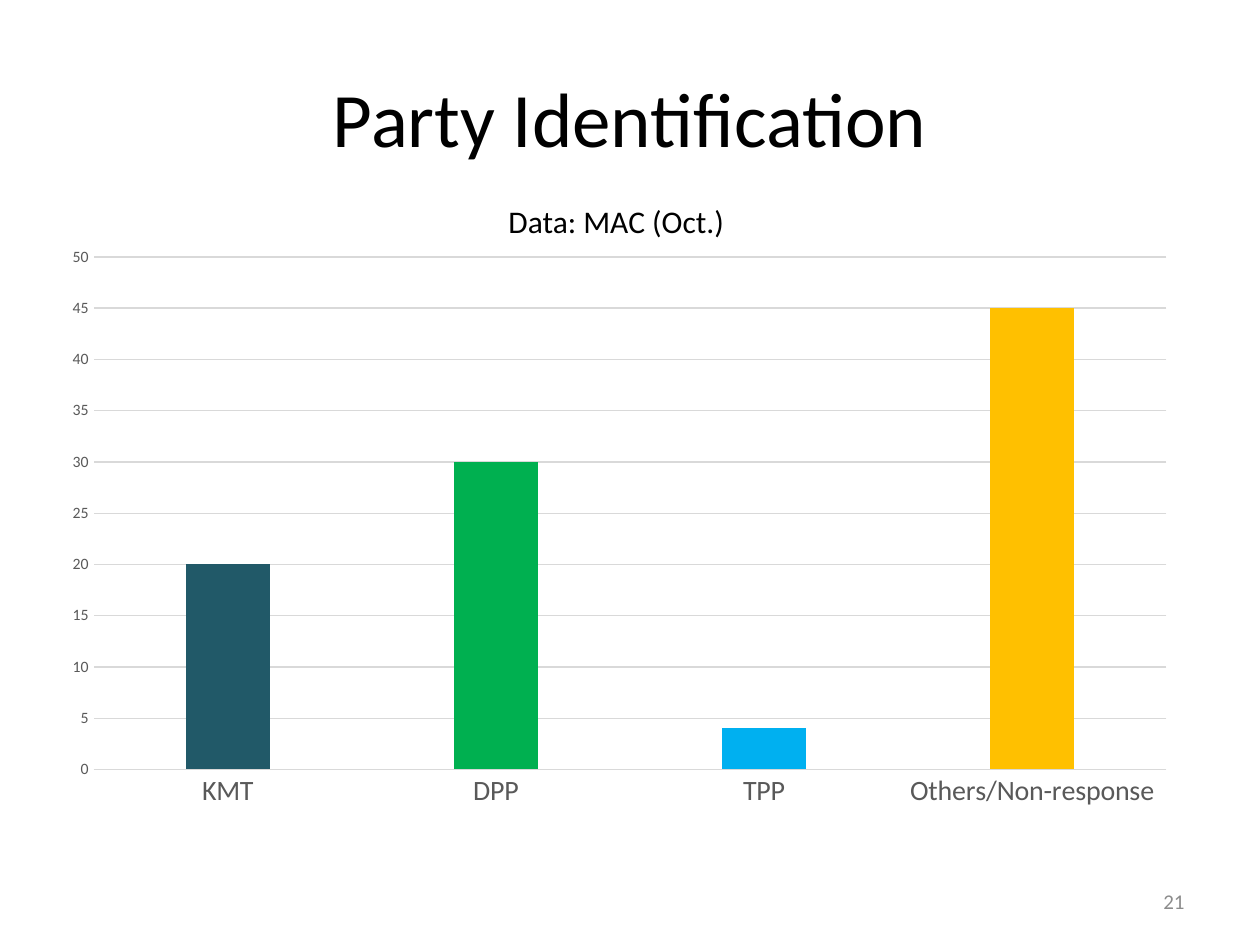
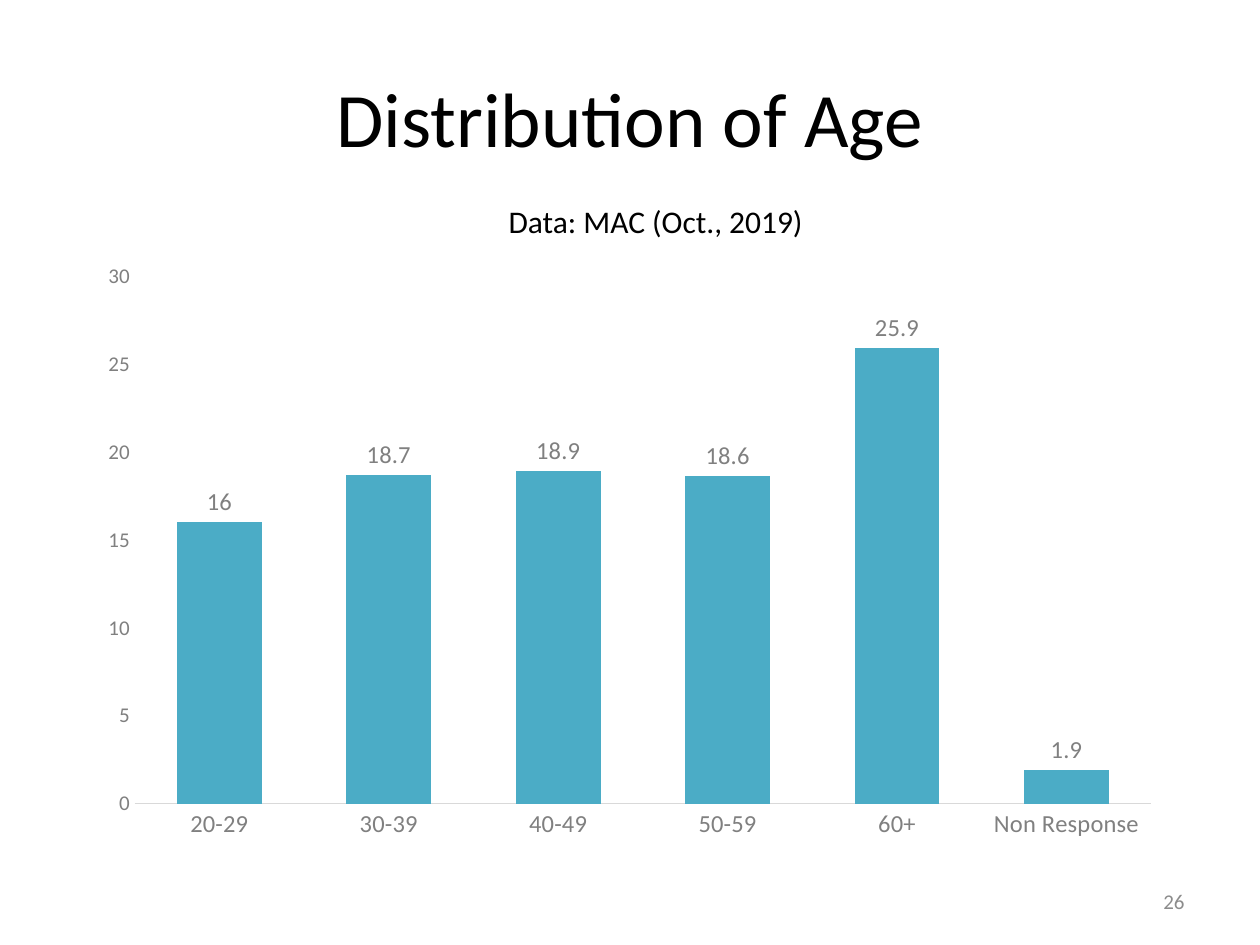
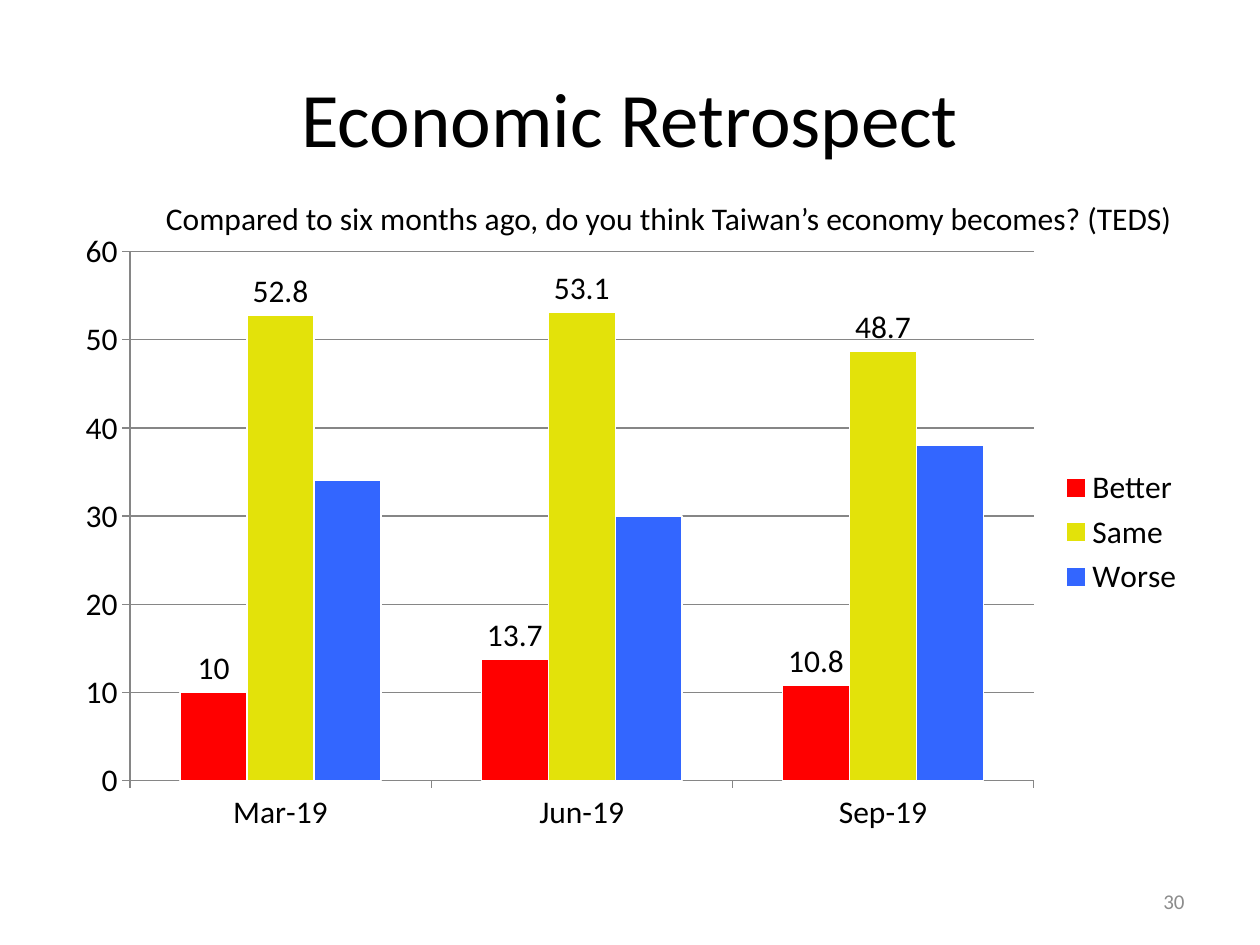
"""Build three survey slides, each with a title, a column chart, a source line and a page number."""
from dataclasses import dataclass
from typing import Optional

import pptx
import pptx.chart.axis
import pptx.chart.chart
import pptx.chart.data
import pptx.dml.color
import pptx.enum.chart
import pptx.enum.text
import pptx.oxml
import pptx.oxml.ns
import pptx.presentation
import pptx.slide
import pptx.text.text
import pptx.util
from pptx.util import Pt


@dataclass(frozen=True)
class Theme:
    font: str = "Calibri"
    ink: str = "000000"
    paper: str = "FFFFFF"
    page_grey: str = "8C8C8C"
    dark_grey: str = "595959"
    mid_grey: str = "808080"
    pale_grey: str = "D9D9D9"
    rule_grey: str = "868686"
    teal: str = "215968"
    green: str = "00B050"
    sky: str = "00B0F0"
    amber: str = "FFC000"
    aqua: str = "4BACC6"
    steel: str = "4F81BD"
    red: str = "FF0000"
    yellow: str = "E3E20A"
    blue: str = "3366FF"
    title_size: float = 44
    body_size: float = 18
    category_size: float = 16
    label_size: float = 14
    small_size: float = 12
    tiny_size: float = 9
    hairline: float = 0.75


THEME = Theme()


@dataclass(frozen=True)
class Box:
    left: float
    top: float
    width: float
    height: float

    def lengths(self) -> tuple[pptx.util.Length, ...]:
        """Return left, top, width and height as lengths."""
        return Pt(self.left), Pt(self.top), Pt(self.width), Pt(self.height)


TITLE_BOX = Box(36, 21.6, 648, 90)
PAGE_BOX = Box(516, 500.5, 168, 28.75)


@dataclass(frozen=True)
class Answer:
    name: str
    values: tuple[float, ...]
    color: str
    labelled: bool = False
    bar_colors: tuple[str, ...] = ()


@dataclass(frozen=True)
class AxisStyle:
    size: float
    color: str
    line: Optional[str] = None
    grid: Optional[str] = None
    ticks: bool = False


@dataclass(frozen=True)
class Survey:
    title: str
    source: str
    source_box: Box
    page: int
    chart_box: Box
    plot: Box
    categories: tuple[str, ...]
    answers: tuple[Answer, ...]
    category_axis: AxisStyle
    value_axis: AxisStyle
    maximum: float
    step: float
    gap: int
    overlap: int = 0
    label_size: float = THEME.label_size
    label_color: str = THEME.mid_grey
    bar_outline: Optional[str] = None
    legend: bool = False


SURVEYS = (
    Survey(
        title="Party Identification",
        source="Data: MAC (Oct.)",
        source_box=Box(283.5, 111.6, 139.7, 29),
        page=21,
        chart_box=Box(29.5, 114.5, 648, 363),
        plot=Box(0.037, 0.089, 0.946, 0.807),
        categories=("KMT", "DPP", "TPP", "Others/Non-response"),
        answers=(
            Answer("Series 1", (20, 30, 4, 45), THEME.steel,
                   bar_colors=(THEME.teal, THEME.green, THEME.sky, THEME.amber)),
        ),
        category_axis=AxisStyle(THEME.category_size, THEME.dark_grey, THEME.pale_grey),
        value_axis=AxisStyle(THEME.tiny_size, THEME.dark_grey, grid=THEME.pale_grey),
        maximum=50, step=5, gap=219, overlap=-27,
    ),
    Survey(
        title="Distribution of Age",
        source="Data: MAC (Oct., 2019)",
        source_box=Box(283.5, 111.6, 202.3, 29),
        page=26,
        chart_box=Box(49.7, 144, 620.6, 342.7),
        plot=Box(0.044, 0.04, 0.936, 0.88),
        categories=("20-29", "30-39", "40-49", "50-59", "60+", "Non Response"),
        answers=(
            Answer("Series 1", (16, 18.7, 18.9, 18.6, 25.9, 1.9), THEME.aqua, labelled=True),
        ),
        category_axis=AxisStyle(THEME.label_size, THEME.mid_grey, THEME.pale_grey),
        value_axis=AxisStyle(THEME.small_size, THEME.mid_grey),
        maximum=30, step=5, gap=100, overlap=-24,
    ),
    Survey(
        title="Economic Retrospect",
        source="Compared to six months ago, do you think Taiwan’s economy becomes? (TEDS)",
        source_box=Box(87.8, 110.2, 599.8, 29),
        page=30,
        chart_box=Box(36, 126, 648, 356.4),
        plot=Box(0.059, 0.05, 0.797, 0.848),
        categories=("Mar-19", "Jun-19", "Sep-19"),
        answers=(
            Answer("Better", (10, 13.7, 10.8), THEME.red, labelled=True),
            Answer("Same", (52.8, 53.1, 48.7), THEME.yellow, labelled=True),
            Answer("Worse", (34, 30, 38), THEME.blue),
        ),
        category_axis=AxisStyle(THEME.body_size, THEME.ink, THEME.rule_grey, ticks=True),
        value_axis=AxisStyle(THEME.body_size, THEME.ink, THEME.rule_grey,
                             THEME.rule_grey, ticks=True),
        maximum=60, step=10, gap=150,
        label_size=THEME.body_size, label_color=THEME.ink,
        bar_outline=THEME.paper, legend=True,
    ),
)


def rgb(color: str) -> pptx.dml.color.RGBColor:
    """Turn a hex string into a colour."""
    return pptx.dml.color.RGBColor.from_string(color)


def style_font(font: pptx.text.text.Font, size: float, color: str) -> None:
    """Apply the theme typeface with a size and colour."""
    font.name = THEME.font
    font.size = Pt(size)
    font.color.rgb = rgb(color)


def write(frame: pptx.text.text.TextFrame, text: str, size: float, color: str,
          align: pptx.enum.text.PP_ALIGN, anchor: pptx.enum.text.MSO_ANCHOR) -> None:
    """Put one styled run into a text frame."""
    frame.vertical_anchor = anchor
    paragraph = frame.paragraphs[0]
    paragraph.alignment = align
    run = paragraph.add_run()
    run.text = text
    style_font(run.font, size, color)


def draw_line(line: pptx.dml.line.LineFormat, color: Optional[str]) -> None:
    """Draw a hairline, or hide the line if it has no colour."""
    if color is None:
        line.fill.background()
    else:
        line.color.rgb = rgb(color)
        line.width = Pt(THEME.hairline)


def style_axis(axis: pptx.chart.axis.CategoryAxis | pptx.chart.axis.ValueAxis,
               style: AxisStyle) -> None:
    """Set labels, line, ticks and gridlines of an axis."""
    marks = pptx.enum.chart.XL_TICK_MARK
    style_font(axis.tick_labels.font, style.size, style.color)
    axis.major_tick_mark = marks.OUTSIDE if style.ticks else marks.NONE
    axis.minor_tick_mark = marks.NONE
    draw_line(axis.format.line, style.line)
    axis.has_major_gridlines = style.grid is not None
    if style.grid:
        draw_line(axis.major_gridlines.format.line, style.grid)


def place_plot(chart: pptx.chart.chart.Chart, plot: Box) -> None:
    """Fix the inner plot area as fractions of the chart."""
    area = chart.element.find(".//" + pptx.oxml.ns.qn("c:plotArea"))
    for old in area.findall(pptx.oxml.ns.qn("c:layout")):
        area.remove(old)
    area.insert(0, pptx.oxml.parse_xml(
        f'<c:layout {pptx.oxml.ns.nsdecls("c")}><c:manualLayout>'
        '<c:layoutTarget val="inner"/><c:xMode val="edge"/><c:yMode val="edge"/>'
        f'<c:x val="{plot.left}"/><c:y val="{plot.top}"/>'
        f'<c:w val="{plot.width}"/><c:h val="{plot.height}"/>'
        '</c:manualLayout></c:layout>'))


def style_bars(bars: pptx.chart.series.BarSeries, answer: Answer, survey: Survey) -> None:
    """Colour the bars of one answer and label them."""
    bars.invert_if_negative = False
    bars.format.fill.solid()
    bars.format.fill.fore_color.rgb = rgb(answer.color)
    draw_line(bars.format.line, survey.bar_outline)
    for index, color in enumerate(answer.bar_colors):
        fill = bars.points[index].format.fill
        fill.solid()
        fill.fore_color.rgb = rgb(color)
    if answer.labelled:
        labels = bars.data_labels
        labels.show_value = True
        labels.position = pptx.enum.chart.XL_LABEL_POSITION.OUTSIDE_END
        style_font(labels.font, survey.label_size, survey.label_color)


def add_survey_chart(slide: pptx.slide.Slide, survey: Survey) -> None:
    """Add the column chart of a survey."""
    data = pptx.chart.data.CategoryChartData()
    data.categories = survey.categories
    for answer in survey.answers:
        data.add_series(answer.name, answer.values)
    chart = slide.shapes.add_chart(
        pptx.enum.chart.XL_CHART_TYPE.COLUMN_CLUSTERED,
        *survey.chart_box.lengths(), data).chart
    style_font(chart.font, survey.category_axis.size, THEME.ink)
    chart.has_title = False
    chart.has_legend = survey.legend
    if survey.legend:
        chart.legend.position = pptx.enum.chart.XL_LEGEND_POSITION.RIGHT
        chart.legend.include_in_layout = False
        style_font(chart.legend.font, THEME.body_size, THEME.ink)
    columns = chart.plots[0]
    columns.vary_by_categories = False
    columns.gap_width = survey.gap
    columns.overlap = survey.overlap
    for bars, answer in zip(columns.series, survey.answers):
        style_bars(bars, answer, survey)
    style_axis(chart.category_axis, survey.category_axis)
    style_axis(chart.value_axis, survey.value_axis)
    chart.value_axis.minimum_scale = 0
    chart.value_axis.maximum_scale = survey.maximum
    chart.value_axis.major_unit = survey.step
    place_plot(chart, survey.plot)


def add_survey_slide(deck: pptx.presentation.Presentation, survey: Survey) -> None:
    """Add one slide with title, chart, page number and source line."""
    aligns, anchors = pptx.enum.text.PP_ALIGN, pptx.enum.text.MSO_ANCHOR
    slide = deck.slides.add_slide(deck.slide_layouts.get_by_name("Title Only"))
    heading = slide.shapes.title
    heading.left, heading.top, heading.width, heading.height = TITLE_BOX.lengths()
    write(heading.text_frame, survey.title, THEME.title_size, THEME.ink,
          aligns.CENTER, anchors.MIDDLE)
    add_survey_chart(slide, survey)
    page = slide.shapes.add_textbox(*PAGE_BOX.lengths()).text_frame
    page.word_wrap = True
    write(page, str(survey.page), THEME.small_size, THEME.page_grey,
          aligns.RIGHT, anchors.MIDDLE)
    source = slide.shapes.add_textbox(*survey.source_box.lengths()).text_frame
    source.word_wrap = False
    source.auto_size = pptx.enum.text.MSO_AUTO_SIZE.SHAPE_TO_FIT_TEXT
    write(source, survey.source, THEME.body_size, THEME.ink, aligns.LEFT, anchors.TOP)


def main() -> None:
    """Build and save the deck."""
    deck = pptx.Presentation()
    deck.slide_width, deck.slide_height = Pt(720), Pt(540)
    for survey in SURVEYS:
        add_survey_slide(deck, survey)
    deck.save("out.pptx")


if __name__ == "__main__":
    main()
